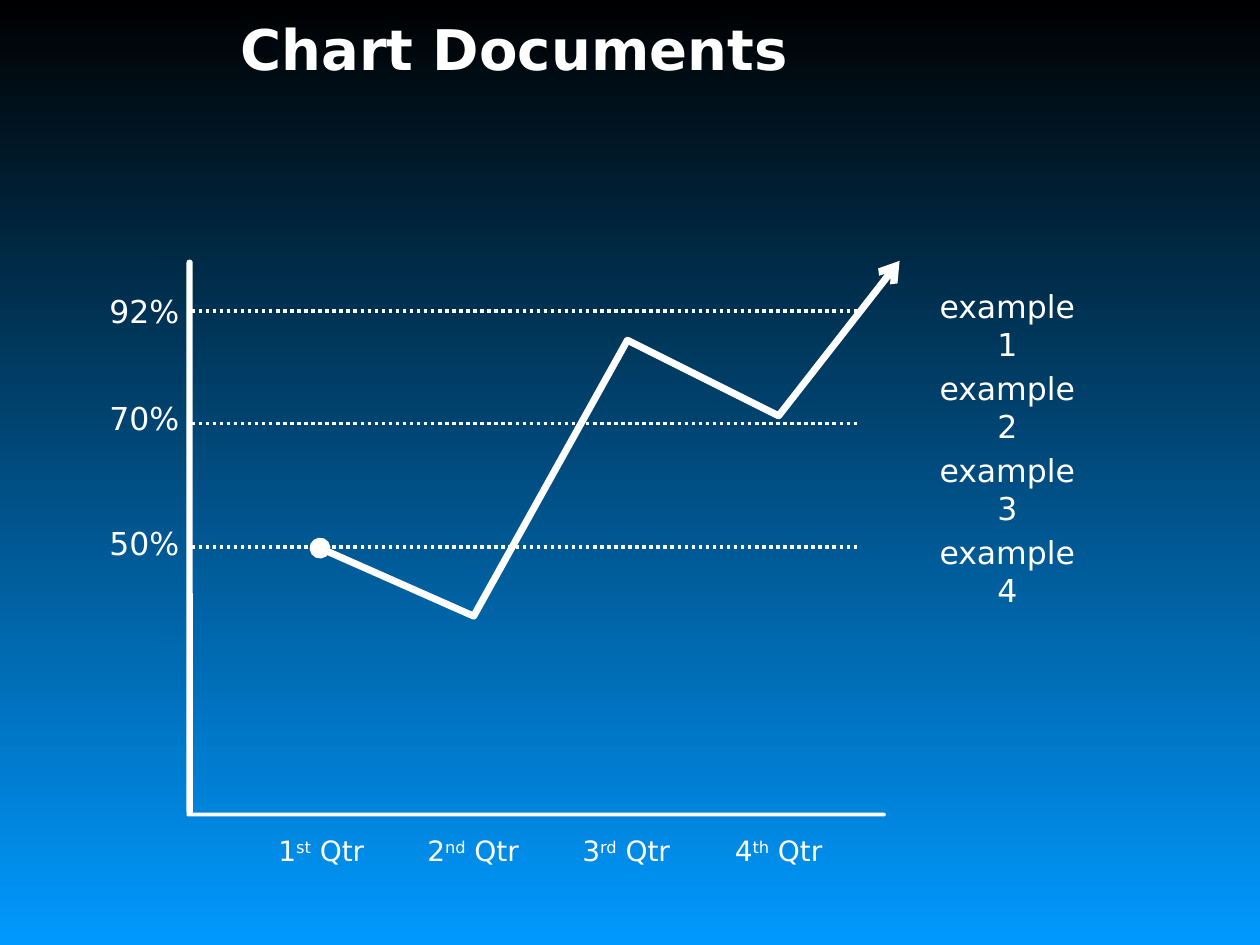
from typing import NamedTuple

import pptx
import pptx.dml.color
import pptx.enum.dml
import pptx.enum.shapes
import pptx.enum.text
import pptx.oxml
import pptx.oxml.ns
import pptx.util
from pptx.util import Inches

WHITE = pptx.dml.color.RGBColor(255, 255, 255)
BLACK = pptx.dml.color.RGBColor(0, 0, 0)
BLUE = pptx.dml.color.RGBColor(0, 153, 255)
FONT = "DejaVu Sans"


class Level(NamedTuple):
    text: str
    label_top: float
    line_y: float


class Quarter(NamedTuple):
    number: str
    suffix: str
    left: float
    width: float


LEVELS = [Level("92%", 2.27, 2.47), Level("70%", 3.12, 3.36), Level("50%", 4.11, 4.34)]
QUARTERS = [
    Quarter("1", "st", 2.09, 0.92),
    Quarter("2", "nd", 3.27, 0.97),
    Quarter("3", "rd", 4.5, 0.94),
    Quarter("4", "th", 5.71, 0.94),
]
TREND = [(2.54, 4.35), (3.76, 4.89), (4.98, 2.7), (6.18, 3.3), (7.14, 2.07)]


def set_font(p, size: float, bold: bool = False) -> None:
    p.font.name = FONT
    p.font.size = pptx.util.Pt(size)
    p.font.bold = bold
    p.font.color.rgb = WHITE


def add_label(slide, left: float, top: float, width: float, height: float, size: float):
    tf = slide.shapes.add_textbox(
        Inches(left), Inches(top), Inches(width), Inches(height)
    ).text_frame
    tf.word_wrap = False
    tf.auto_size = pptx.enum.text.MSO_AUTO_SIZE.SHAPE_TO_FIT_TEXT
    p = tf.paragraphs[0]
    p.alignment = pptx.enum.text.PP_ALIGN.CENTER
    set_font(p, size)
    return p


def add_title(slide, text: str) -> None:
    tf = slide.shapes.add_textbox(Inches(1.81), 0, Inches(7.88), Inches(0.76)).text_frame
    tf.word_wrap = True
    tf.vertical_anchor = pptx.enum.text.MSO_ANCHOR.MIDDLE
    p = tf.paragraphs[0]
    p.text = text
    set_font(p, 32, True)


def add_level(slide, level: Level) -> None:
    y = Inches(level.line_y)
    s = slide.shapes.add_connector(
        pptx.enum.shapes.MSO_CONNECTOR.STRAIGHT, Inches(1.52), y, Inches(6.83), y
    )
    s.line.color.rgb = WHITE
    s.line.width = pptx.util.Pt(2)
    s.line.dash_style = pptx.enum.dml.MSO_LINE.ROUND_DOT
    pptx.oxml.ns.qn("a:effectLst")
    s._element.spPr.append(effect_list())
    add_label(slide, 0.75, level.label_top, 0.79, 0.4, 18).text = level.text


def effect_list():
    return pptx.oxml.parse_xml(f"<a:effectLst {pptx.oxml.ns.nsdecls('a')}/>")


def add_axis(slide, left: float, top: float, width: float, height: float) -> None:
    s = slide.shapes.add_shape(
        pptx.enum.shapes.MSO_SHAPE.ROUNDED_RECTANGLE,
        Inches(left), Inches(top), Inches(width), Inches(height),
    )
    s.adjustments[0] = 0.5
    s.shadow.inherit = False
    s.fill.solid()
    s.fill.fore_color.rgb = WHITE
    s.line.fill.background()


def add_quarter(slide, quarter: Quarter) -> None:
    p = add_label(slide, quarter.left, 6.57, quarter.width, 0.37, 16)
    p.add_run().text = quarter.number
    r = p.add_run()
    r.text = quarter.suffix
    r.font._element.set("baseline", "30000")
    p.add_run().text = " Qtr"


def add_trend(slide, points: list[tuple[float, float]]) -> None:
    corners = [(Inches(x), Inches(y)) for x, y in points]
    builder = slide.shapes.build_freeform(*corners[0])
    builder.add_line_segments(corners[1:], close=False)
    s = builder.convert_to_shape()
    s.shadow.inherit = False
    s.fill.background()
    s.line.color.rgb = WHITE
    s.line.width = pptx.util.Pt(4)
    ln = s.line._get_or_add_ln()
    for tag, kind in (("headEnd", "oval"), ("tailEnd", "arrow")):
        ln.append(pptx.oxml.parse_xml(
            f'<a:{tag} {pptx.oxml.ns.nsdecls("a")} type="{kind}"/>'
        ))


def main() -> None:
    prs = pptx.Presentation()
    prs.slide_width, prs.slide_height = Inches(10), Inches(7.5)
    slide = prs.slides.add_slide(prs.slide_layouts[6])
    fill = slide.background.fill
    fill.gradient()
    fill.gradient_angle = 270
    for stop, position, color in zip(fill.gradient_stops, (0, 1), (BLACK, BLUE)):
        stop.position = position
        stop.color.rgb = color

    add_title(slide, "Chart Documents")
    for level in LEVELS:
        add_level(slide, level)
    add_axis(slide, 1.48, 6.45, 5.55, 0.03)
    add_axis(slide, 1.48, 2.06, 0.05, 4.41)
    for i in range(4):
        add_label(slide, 7.28, 2.23 + 0.65 * i, 1.43, 0.4, 18).text = f"example\v{i + 1}"
    for quarter in QUARTERS:
        add_quarter(slide, quarter)
    add_trend(slide, TREND)
    prs.save("out.pptx")


if __name__ == "__main__":
    main()
